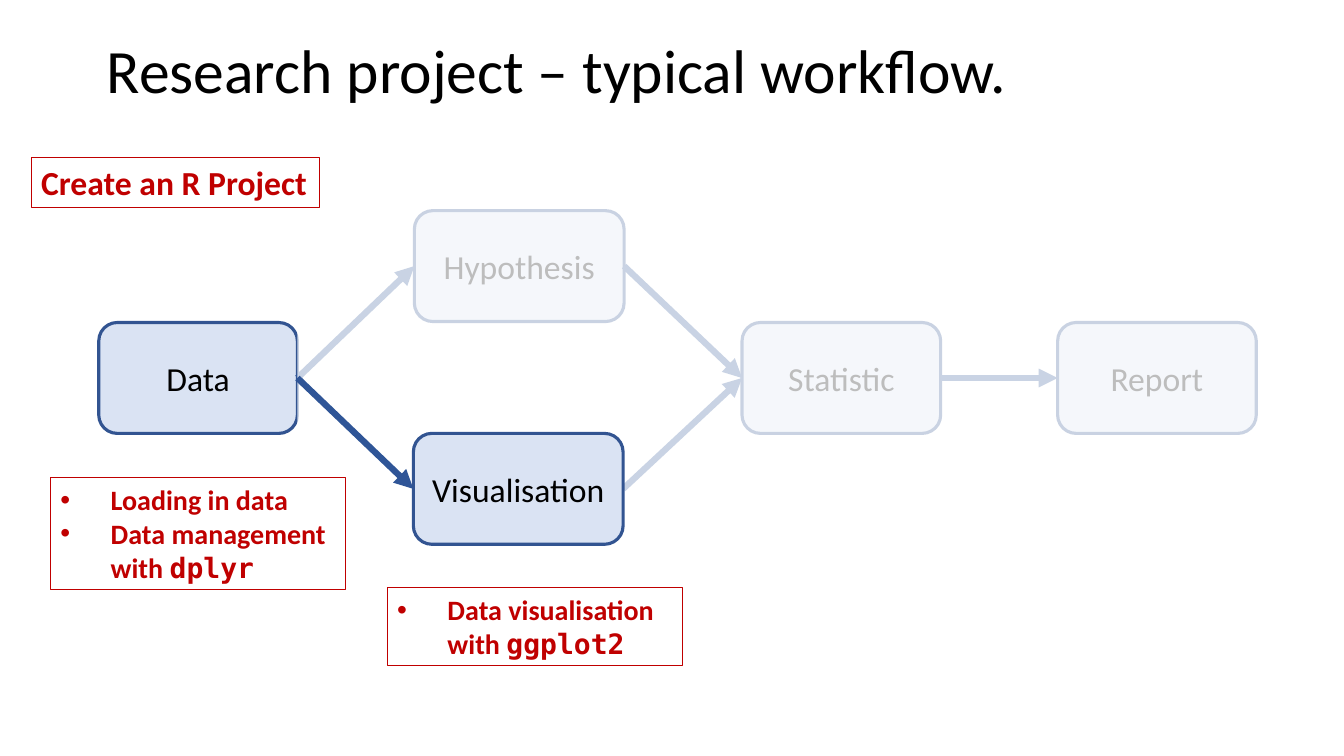
from lxml import etree
from pptx import Presentation
from pptx.dml.color import RGBColor
from pptx.enum.shapes import MSO_CONNECTOR, MSO_SHAPE
from pptx.enum.text import MSO_ANCHOR, MSO_AUTO_SIZE, PP_ALIGN
from pptx.oxml.ns import qn
from pptx.util import Inches, Pt

ROUND = MSO_SHAPE.ROUNDED_RECTANGLE
RECT = MSO_SHAPE.RECTANGLE
LINE = MSO_CONNECTOR.STRAIGHT
MIDDLE = MSO_ANCHOR.MIDDLE
CENTER = PP_ALIGN.CENTER
GROW = MSO_AUTO_SIZE.SHAPE_TO_FIT_TEXT
SANS, MONO = "Calibri", "DejaVu Sans Mono"
LEFT, RIGHT = 1, 3  # connection sites of a box


def rgb(code):
    return RGBColor.from_string(code)


def write(par, text, size, color="000000", bold=False, face=SANS):
    """Add one run to a paragraph."""
    run = par.add_run()
    run.text = text
    run.font.size = Pt(size)
    run.font.name = face
    run.font.bold = bold
    run.font.color.rgb = rgb(color)


deck = Presentation()
deck.slide_width, deck.slide_height = Inches(13.33), Inches(7.5)
shapes = deck.slides.add_slide(deck.slide_layouts[6]).shapes

# Workflow steps
steps = {}
for name, x, y, width in [
    ("Data", 0.98, 3.2, 1.97),
    ("Hypothesis", 4.11, 2.09, 2.08),
    ("Statistic", 7.36, 3.2, 1.97),
    ("Report", 10.49, 3.2, 1.97),
    ("Visualisation", 4.1, 4.3, 2.08),
]:
    box = shapes.add_shape(ROUND, Inches(x), Inches(y), Inches(width), Inches(1.1))
    box.shadow.inherit = False
    box.fill.solid()
    box.fill.fore_color.rgb = rgb("DAE3F3")
    box.line.color.rgb = rgb("325491")
    box.line.width = Pt(2.25)
    frame = box.text_frame
    frame.word_wrap = True
    frame.vertical_anchor = MIDDLE
    frame.paragraphs[0].alignment = CENTER
    write(frame.paragraphs[0], name, 24)
    steps[name] = box

# Arrows from step to step
for start, end in [
    ("Data", "Hypothesis"),
    ("Visualisation", "Statistic"),
    ("Hypothesis", "Statistic"),
    ("Statistic", "Report"),
    ("Data", "Visualisation"),
]:
    arrow = shapes.add_connector(LINE, 0, 0, 0, 0)
    arrow.begin_connect(steps[start], RIGHT)
    arrow.end_connect(steps[end], LEFT)
    arrow.line.color.rgb = rgb("2F5597")
    arrow.line.width = Pt(4.5)
    etree.SubElement(arrow.line._get_or_add_ln(), qn("a:tailEnd"), type="triangle")
    etree.SubElement(arrow._element.spPr, qn("a:effectLst"))

# White veil over the later steps; the current step and its arrow lie above it
veil = shapes.add_shape(RECT, Inches(2.95), Inches(1.85), Inches(9.94), Inches(4.01))
veil.shadow.inherit = False
veil.fill.solid()
veil.fill.fore_color.rgb = rgb("FFFFFF")
veil.line.fill.background()
tint = veil._element.spPr.find(".//" + qn("a:srgbClr"))
etree.SubElement(tint, qn("a:alpha"), val="74000")
tree = veil._element.getparent()
for item in (steps["Visualisation"], arrow):
    tree.append(item._element)

# Title
title = shapes.add_textbox(Inches(0.96), Inches(0), Inches(11.5), Inches(1.45))
frame = title.text_frame
frame.word_wrap = True
frame.vertical_anchor = MIDDLE
frame.paragraphs[0].line_spacing = 0.9
write(frame.paragraphs[0], "Research project – typical workflow.", 44)

# Red notes: each line is a list of (text, font) runs
for x, y, width, height, size, listed, lines in [
    (0.31, 1.56, 2.86, 0.5, 24, False, [[("Create an R Project", SANS)]]),
    (0.5, 4.74, 2.93, 1.11, 20, True, [
        [("Loading in data", SANS)],
        [("Data management with ", SANS), ("dplyr", MONO)],
    ]),
    (3.84, 5.83, 2.93, 0.77, 20, True, [
        [("Data visualisation with ", SANS), ("ggplot2", MONO)],
    ]),
]:
    note = shapes.add_textbox(Inches(x), Inches(y), Inches(width), Inches(height))
    note.line.color.rgb = rgb("C00000")
    note.line.width = Pt(0.75)
    frame = note.text_frame
    frame.word_wrap = listed
    frame.auto_size = GROW
    for i, runs in enumerate(lines):
        par = frame.add_paragraph() if i else frame.paragraphs[0]
        if listed:
            props = par._p.get_or_add_pPr()
            props.set("marL", str(Inches(0.5)))
            props.set("indent", str(Inches(-0.5)))
            etree.SubElement(props, qn("a:buFont"), typeface="Arial")
            etree.SubElement(props, qn("a:buChar"), char="•")
        for text, face in runs:
            write(par, text, size, "C00000", True, face)

deck.save("out.pptx")
